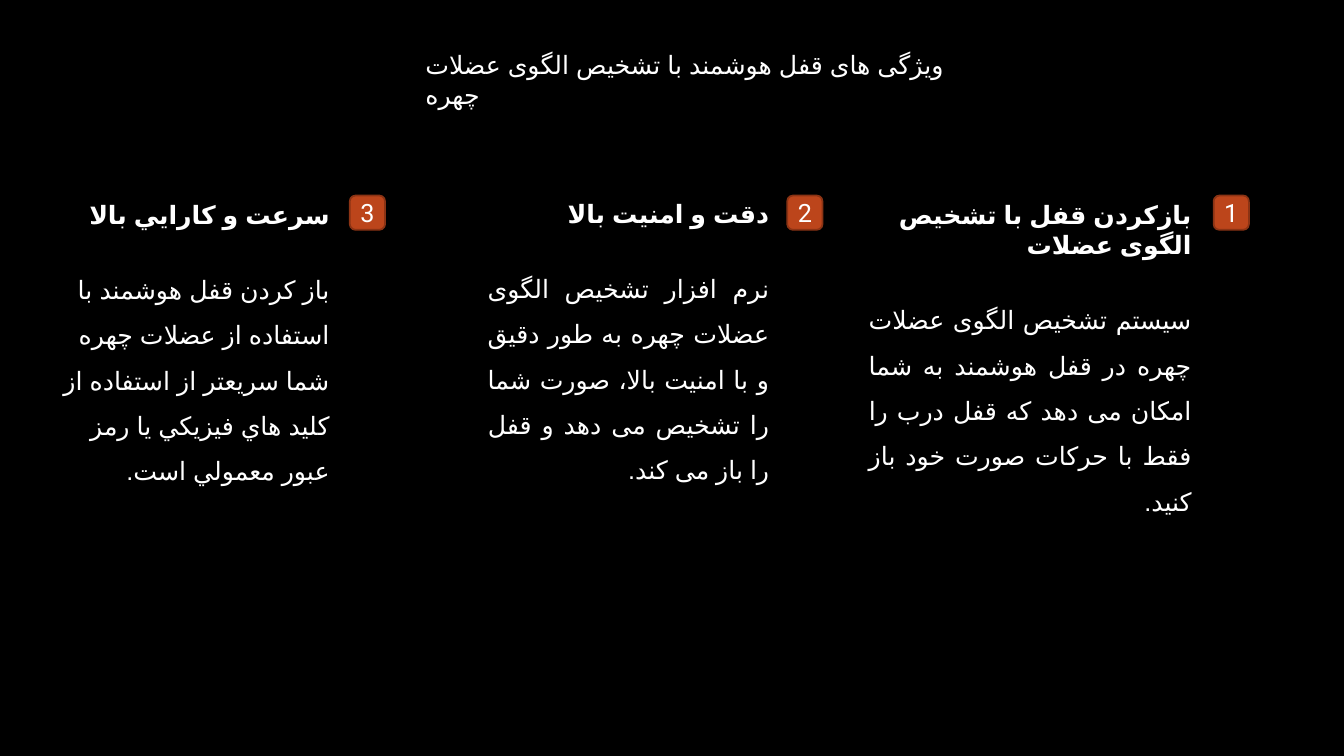
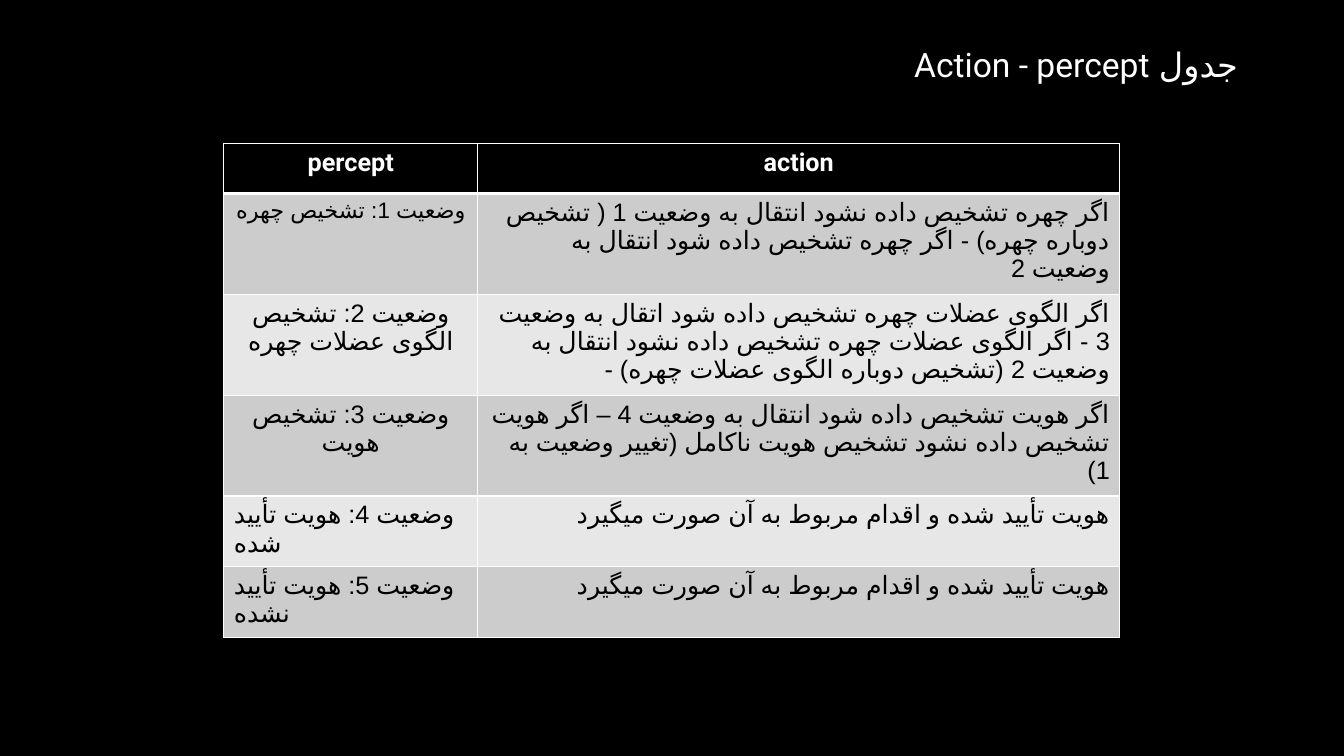
from lxml.etree import SubElement
from pptx import Presentation
from pptx.dml.color import RGBColor
from pptx.enum.shapes import MSO_SHAPE
from pptx.enum.text import MSO_ANCHOR, MSO_AUTO_SIZE, PP_ALIGN
from pptx.oxml.ns import qn
from pptx.util import Emu, Pt

PX = 9144
SLIDE_SIZE = Emu(12192000), Emu(6858000)
FONT, PERSIAN_FONT, LANGUAGE = "Roboto", "Arial", "fa-IR"
BLACK, WHITE = "000000", "FFFFFF"
BADGE_FILL, BADGE_LINE = "BC451B", "8B3314"
BANDS = ("CCCCCC", "E7E7E7")
LEFT, RIGHT, CENTER, JUSTIFY = PP_ALIGN.LEFT, PP_ALIGN.RIGHT, PP_ALIGN.CENTER, PP_ALIGN.JUSTIFY

FEATURES_TITLE = "ویژگی های قفل هوشمند با تشخیص الگوی عضلات چهره"
FEATURES = [
    ((852, 193, 340, 343), 1204, JUSTIFY, "بازکردن قفل با تشخیص الگوی عضلات",
     "سیستم تشخیص الگوی عضلات چهره در قفل هوشمند به شما امکان می دهد که قفل درب را فقط با حرکات صورت خود باز کنید."),
    ((474, 192, 299, 358), 781, JUSTIFY, "دقت و امنیت بالا",
     "نرم افزار تشخیص الگوی عضلات چهره به طور دقیق و با امنیت بالا، صورت شما را تشخیص می دهد و قفل را باز می کند."),
    ((50, 193, 287, 313), 347, RIGHT, "سرعت و كارايي بالا",
     "باز كردن قفل هوشمند با استفاده از عضلات چهره شما سريعتر از استفاده از كليد هاي فيزيكي يا رمز عبور معمولي است."),
]

TABLE_TITLE = "جدول Action - percept"
HEADINGS = ("percept", "action")
CONFIRMED = "هویت تأیید شده و اقدام مربوط به آن صورت میگیرد"
STATES = [
    (100, "وضعیت 1: تشخیص چهره", dict(align=CENTER, size=16),
     "اگر چهره تشخیص داده نشود انتقال به وضعیت 1 ( تشخیص دوباره چهره) - اگر چهره تشخیص داده شود انتقال به وضعیت 2"),
    (100, "وضعیت 2: تشخیص الگوی عضلات چهره", dict(align=CENTER, rtl=True),
     "اگر الگوی عضلات چهره تشخیص داده شود اتقال به وضعیت 3 - اگر الگوی عضلات چهره تشخیص داده نشود انتقال به وضعیت 2 (تشخیص دوباره الگوی عضلات چهره) -"),
    (100, "وضعیت 3: تشخیص هویت", dict(align=CENTER, rtl=True),
     "اگر هویت تشخیص داده شود انتقال به وضعیت 4 – اگر هویت تشخیص داده نشود تشخیص هویت ناکامل (تغییر وضعیت به 1)"),
    (70, "وضعیت 4: هویت تأیید شده", {}, CONFIRMED),
    (70, "وضعیت 5: هویت تأیید نشده", {}, CONFIRMED),
]


def px(*lengths):
    """Turn px lengths into EMU."""
    return [Emu(length * PX) for length in lengths]


def color(value):
    """Turn a hex string into a colour."""
    return RGBColor.from_string(value)


def write(paragraph, text, size=18, ink=WHITE, bold=False, align=LEFT, rtl=False,
          spacing=None, before=None):
    """Fill a paragraph with formatted text."""
    paragraph.alignment = align
    if rtl:
        paragraph._p.get_or_add_pPr().set("rtl", "1")
    if spacing:
        paragraph.line_spacing = spacing
    if before:
        paragraph.space_before = Pt(before)
    run = paragraph.add_run()
    run.text = text
    run.font.name = FONT
    run.font.size = Pt(size)
    run.font.bold = bold
    run.font.color.rgb = color(ink)
    properties = run._r.get_or_add_rPr()
    properties.set("lang", LANGUAGE)
    SubElement(properties, qn("a:cs"), typeface=PERSIAN_FONT)


def add_text_frame(slide, box):
    """Add a wrapping text box and return its frame."""
    frame = slide.shapes.add_textbox(*px(*box)).text_frame
    frame.word_wrap = True
    frame.auto_size = MSO_AUTO_SIZE.SHAPE_TO_FIT_TEXT
    return frame


def add_slide(deck, title, box, **style):
    """Add a black slide with its title."""
    slide = deck.slides.add_slide(deck.slide_layouts[6])
    slide.background.fill.solid()
    slide.background.fill.fore_color.rgb = color(BLACK)
    write(add_text_frame(slide, box).paragraphs[0], title, **style)
    return slide


def add_badge(slide, left, number):
    """Add a rounded badge that holds a feature's number."""
    badge = slide.shapes.add_shape(MSO_SHAPE.ROUNDED_RECTANGLE, *px(left, 194, 35, 34))
    badge.shadow.inherit = False
    badge.fill.solid()
    badge.fill.fore_color.rgb = color(BADGE_FILL)
    badge.line.color.rgb = color(BADGE_LINE)
    badge.line.width = Pt(1.25)
    frame = badge.text_frame
    frame.margin_left = frame.margin_right = frame.margin_top = frame.margin_bottom = 0
    frame.vertical_anchor = MSO_ANCHOR.MIDDLE
    write(frame.paragraphs[0], str(number), align=CENTER)


def add_feature(slide, box, heading, body, align):
    """Add a feature's heading and description."""
    frame = add_text_frame(slide, box)
    write(frame.paragraphs[0], heading, bold=True, align=RIGHT, rtl=True)
    write(frame.add_paragraph(), body, align=align, rtl=True, spacing=1.5, before=21)


def add_border(cell, side, width):
    """Draw one white side of a cell."""
    line = SubElement(cell._tc.get_or_add_tcPr(), qn(f"a:ln{side}"), w=str(Pt(width)))
    fill = SubElement(line, qn("a:solidFill"))
    SubElement(fill, qn("a:srgbClr"), val=WHITE)


def fill_cell(cell, text, fill, top=1, bottom=1, **style):
    """Set a cell's borders, fill and text."""
    for side, width in zip("LRTB", (1, 1, top, bottom)):
        add_border(cell, side, width)
    cell.fill.solid()
    cell.fill.fore_color.rgb = color(fill)
    write(cell.text_frame.paragraphs[0], text, **style)


def add_state_table(slide):
    """Add the table of percepts and actions."""
    heights = [50] + [state[0] for state in STATES]
    table = slide.shapes.add_table(len(heights), 2, *px(222, 142, 889, sum(heights))).table
    table.first_row = table.horz_banding = False
    for column, width in zip(table.columns, px(252, 637)):
        column.width = width
    for row, height in zip(table.rows, px(*heights)):
        row.height = height
    for index, heading in enumerate(HEADINGS):
        fill_cell(table.cell(0, index), heading, BLACK, bottom=3, bold=True, align=CENTER)
    for row, (_, percept, style, action) in enumerate(STATES, 1):
        shared = dict(fill=BANDS[(row - 1) % 2], top=3 if row == 1 else 1, ink=BLACK)
        fill_cell(table.cell(row, 0), percept, **shared, **style)
        fill_cell(table.cell(row, 1), action, **shared, align=RIGHT, rtl=True)


def main():
    """Build and save the deck."""
    deck = Presentation()
    deck.slide_width, deck.slide_height = SLIDE_SIZE
    features = add_slide(deck, FEATURES_TITLE, (412, 44, 535, 40))
    for number, (box, badge_left, align, heading, body) in enumerate(FEATURES, 1):
        add_feature(features, box, heading, body, align)
        add_badge(features, badge_left, number)
    states = add_slide(deck, TABLE_TITLE, (826, 39, 412, 50), size=24, align=RIGHT, rtl=True)
    add_state_table(states)
    deck.save("out.pptx")


if __name__ == "__main__":
    main()
